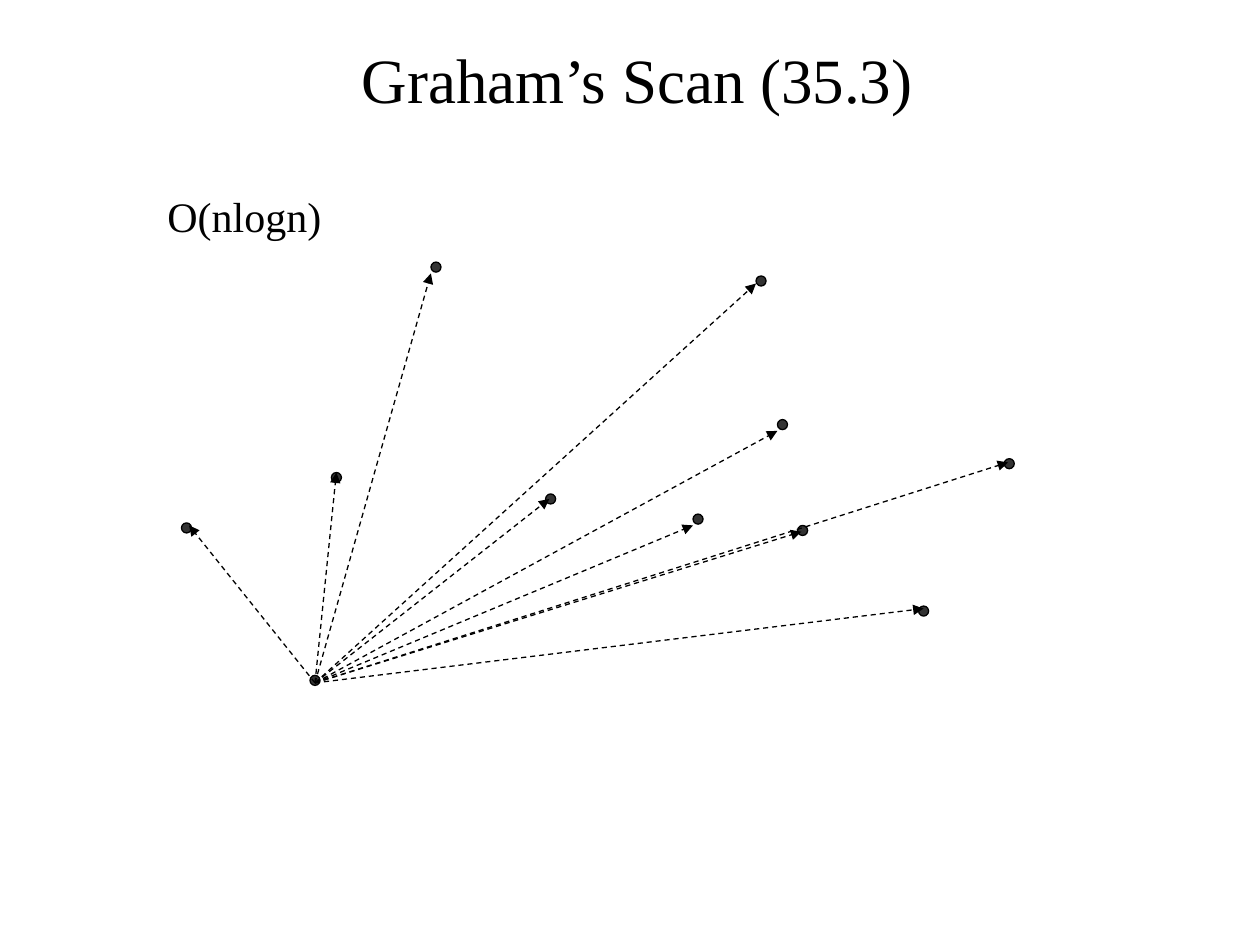
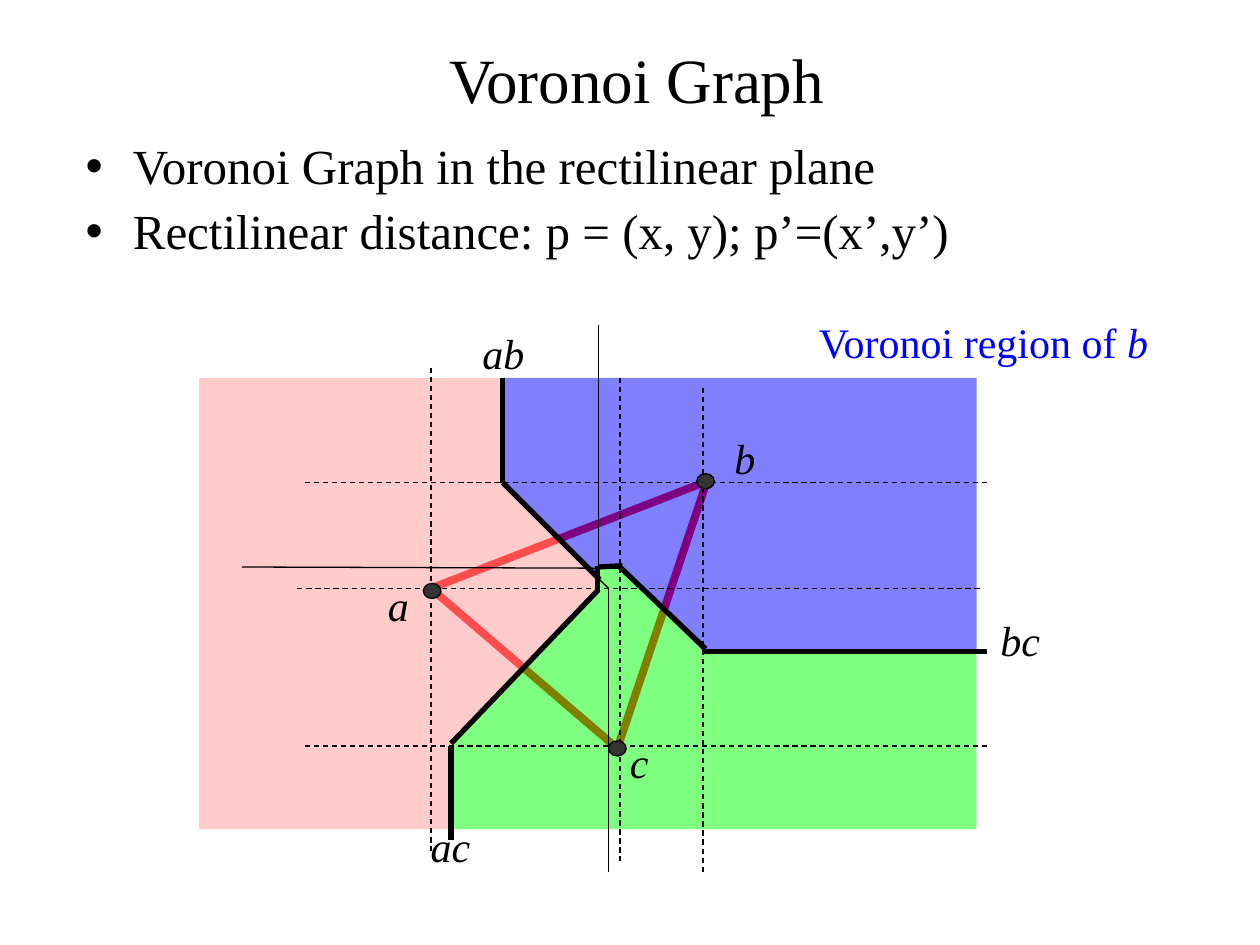
import collections

import lxml.etree
import pptx
import pptx.dml.color
import pptx.enum.dml
import pptx.enum.shapes
import pptx.enum.text
import pptx.oxml.ns
import pptx.util

SCALE = 9144
FONT = "Times New Roman"
BLACK = pptx.dml.color.RGBColor(0x00, 0x00, 0x00)
DOT_GRAY = pptx.dml.color.RGBColor(0x33, 0x33, 0x33)
RED = pptx.dml.color.RGBColor(0xFF, 0x00, 0x00)
GREEN = pptx.dml.color.RGBColor(0x00, 0xFF, 0x00)
BLUE = pptx.dml.color.RGBColor(0x00, 0x00, 0xFF)
PINK = pptx.dml.color.RGBColor(0xFF, 0x99, 0x99)
THIN, THICK, TRIANGLE_WIDTH = 0.75, 3, 4.5

Box = collections.namedtuple("Box", "left top width height")
TITLE_BOX = Box(58, 33, 883, 58)
BODY_BOX = Box(58, 108, 892, 117)


def px(length):
    """Turn a length in px into EMU."""
    return pptx.util.Emu(length * SCALE)


def place(shape, box):
    """Move a shape into a box."""
    shape.left, shape.top, shape.width, shape.height = map(px, box)


def add_text(paragraph, text, size=24, color=BLACK, italic=False):
    """Add a formatted run to a paragraph."""
    run = paragraph.add_run()
    run.text = text
    run.font.name = FONT
    run.font.size = pptx.util.Pt(size)
    run.font.color.rgb = color
    run.font.italic = italic


def add_label(slide, box, *runs, color=BLACK):
    """Add an unwrapped text box made of (text, italic) runs."""
    shape = slide.shapes.add_textbox(*map(px, box))
    frame = shape.text_frame
    frame.word_wrap = False
    frame.auto_size = pptx.enum.text.MSO_AUTO_SIZE.SHAPE_TO_FIT_TEXT
    for text, italic in runs:
        add_text(frame.paragraphs[0], text, color=color, italic=italic)


def add_dot(slide, box, center, width, height):
    """Draw a point centred at a position within a box."""
    x, y = center
    shape = slide.shapes.add_shape(
        pptx.enum.shapes.MSO_SHAPE.OVAL,
        px(box.left + x - width // 2), px(box.top + y - height // 2),
        px(width), px(height))
    shape.shadow.inherit = False
    shape.fill.solid()
    shape.fill.fore_color.rgb = DOT_GRAY
    shape.line.color.rgb = BLACK
    shape.line.width = pptx.util.Pt(THIN)


def add_line(slide, box, start, end, width=THIN, dashed=False, arrow=False):
    """Draw a straight black line between two positions within a box."""
    connector = slide.shapes.add_connector(
        pptx.enum.shapes.MSO_CONNECTOR.STRAIGHT,
        px(box.left + start[0]), px(box.top + start[1]),
        px(box.left + end[0]), px(box.top + end[1]))
    connector.line.color.rgb = BLACK
    connector.line.width = pptx.util.Pt(width)
    if dashed:
        connector.line.dash_style = pptx.enum.dml.MSO_LINE.DASH
    properties = connector._element.spPr
    if arrow:
        lxml.etree.SubElement(properties.find(pptx.oxml.ns.qn("a:ln")),
                              pptx.oxml.ns.qn("a:tailEnd"), type="triangle")
    lxml.etree.SubElement(properties, pptx.oxml.ns.qn("a:effectLst"))


def add_polygon(slide, box, points):
    """Build a closed outline through positions within a box."""
    builder = slide.shapes.build_freeform(*points[0], scale=SCALE)
    builder.add_line_segments(points[1:], close=True)
    shape = builder.convert_to_shape(px(box.left), px(box.top))
    shape.shadow.inherit = False
    return shape


def add_region(slide, box, points, color):
    """Draw a half-transparent region without an outline."""
    shape = add_polygon(slide, box, points)
    shape.fill.solid()
    shape.fill.fore_color.rgb = color
    shape.line.fill.background()
    color_element = shape._element.spPr.find(
        pptx.oxml.ns.qn("a:solidFill") + "/" + pptx.oxml.ns.qn("a:srgbClr"))
    lxml.etree.SubElement(color_element, pptx.oxml.ns.qn("a:alpha"), val="50000")


def add_titled_slide(presentation, layout_index, title):
    """Add a slide with the shared title style."""
    slide = presentation.slides.add_slide(presentation.slide_layouts[layout_index])
    shape = slide.shapes.title
    place(shape, TITLE_BOX)
    frame = shape.text_frame
    frame.auto_size = pptx.enum.text.MSO_AUTO_SIZE.NONE
    frame.vertical_anchor = pptx.enum.text.MSO_ANCHOR.MIDDLE
    frame.paragraphs[0].alignment = pptx.enum.text.PP_ALIGN.CENTER
    add_text(frame.paragraphs[0], title, size=36)
    return slide


def add_bullets(slide, box, lines):
    """Fill the body placeholder with a bulleted list."""
    shape = slide.placeholders[1]
    place(shape, box)
    frame = shape.text_frame
    frame.auto_size = pptx.enum.text.MSO_AUTO_SIZE.NONE
    for index, line in enumerate(lines):
        paragraph = frame.add_paragraph() if index else frame.paragraphs[0]
        paragraph.line_spacing = 0.9
        paragraph.space_before = pptx.util.Pt(7 if index else 0)
        add_text(paragraph, line, size=28)


def draw_scan_fan(slide, box):
    """Draw the anchor point and its arrows to all other points."""
    dots_and_tips = [
        ((8, 219), (10, 217)), ((127, 179), (127, 175)),
        ((206, 12), (202, 17)), ((297, 196), (296, 196)),
        ((464, 23), (460, 25)), ((481, 137), (477, 142)),
        ((414, 212), (410, 217)), ((497, 221), (496, 222)),
        ((661, 168), (660, 167)), ((593, 285), (593, 283)),
    ]
    add_dot(slide, box, (110, 340), 8, 8)
    for dot, _ in dots_and_tips:
        add_dot(slide, box, dot, 8, 8)
    for _, tip in dots_and_tips:
        add_line(slide, box, (110, 342), tip, dashed=True, arrow=True)


def draw_voronoi_regions(slide, box):
    """Draw the site triangle under the three coloured regions."""
    triangle = add_polygon(slide, box, [(192, 217), (411, 132), (340, 344)])
    triangle.fill.background()
    triangle.line.color.rgb = RED
    triangle.line.width = pptx.util.Pt(TRIANGLE_WIDTH)

    left, top, right, bottom = 8, 50, 625, 408
    ab_border = [(250, top), (250, 133), (325, 208)]
    ac_border = [(208, bottom), (208, 342), (325, 217)]
    bc_border = [(325, 200), (342, 200), (408, 267), (right, 267)]
    add_region(slide, box, ac_border + bc_border + [(right, bottom)], GREEN)
    add_region(slide, box, ab_border + bc_border + [(right, top)], BLUE)
    add_region(slide, box, ab_border + ac_border[::-1]
               + [(left, bottom), (left, top)], PINK)


def draw_voronoi_lines(slide, box):
    """Draw the guide lines and the bisectors."""
    for y, left, right in [(217, 86, 628), (342, 92, 633), (133, 92, 633)]:
        add_line(slide, box, (left, y), (right, y), dashed=True)
    for x, top, bottom in [(408, 58, 442), (342, 50, 433), (192, 42, 425)]:
        add_line(slide, box, (x, top), (x, bottom), dashed=True)

    extensions = [
        ((249, 135), (333, 217)), ((325, 217), (325, 8)),
        ((342, 201), (42, 200)), ((333, 217), (333, 442)),
    ]
    bisectors = [
        ((342, 200), (410, 265)), ((208, 340), (325, 218)),
        ((249, 133), (249, 50)), ((408, 267), (633, 267)),
        ((208, 342), (208, 417)), ((249, 133), (326, 210)),
        ((324, 199), (324, 219)), ((344, 199), (325, 200)),
    ]
    for width, lines in [(THIN, extensions), (THICK, bisectors)]:
        for start, end in lines:
            add_line(slide, box, start, end, width=width)


def draw_voronoi_sites(slide, box):
    """Draw the three sites and name them and their bisectors."""
    for center in [(193, 219), (410, 132), (340, 344)]:
        add_dot(slide, box, center, 14, 12)
    labels = [
        ("a", 148, 205, 37), ("b", 423, 88, 37), ("c", 340, 330, 37),
        ("bc", 634, 233, 55), ("ac", 182, 396, 55), ("ab", 223, 5, 55),
    ]
    for name, x, y, width in labels:
        add_label(slide, Box(box.left + x, box.top + y, width, 50), (name, True))


def build_scan_slide(presentation):
    """Build the slide on Graham's scan."""
    slide = add_titled_slide(presentation, 5, " Graham’s Scan (35.3)")
    add_label(slide, Box(123, 146, 142, 50), ("O(nlogn)", False))
    draw_scan_fan(slide, Box(140, 200, 670, 350))


def build_voronoi_slide(presentation):
    """Build the slide on the rectilinear Voronoi graph."""
    slide = add_titled_slide(presentation, 1, " Voronoi Graph")
    add_bullets(slide, BODY_BOX, [
        "Voronoi Graph in the rectilinear plane",
        "Rectilinear distance: p = (x, y); p’=(x’,y’)",
    ])
    diagram_box = Box(150, 250, 700, 450)
    draw_voronoi_regions(slide, diagram_box)
    draw_voronoi_lines(slide, diagram_box)
    draw_voronoi_sites(slide, diagram_box)
    add_label(slide, Box(640, 246, 287, 50),
              ("Voronoi region of ", False), ("b", True), color=BLUE)


def main():
    """Build and save the presentation."""
    presentation = pptx.Presentation()
    presentation.slide_width, presentation.slide_height = px(1000), px(750)
    build_scan_slide(presentation)
    build_voronoi_slide(presentation)
    presentation.save("out.pptx")


if __name__ == "__main__":
    main()
